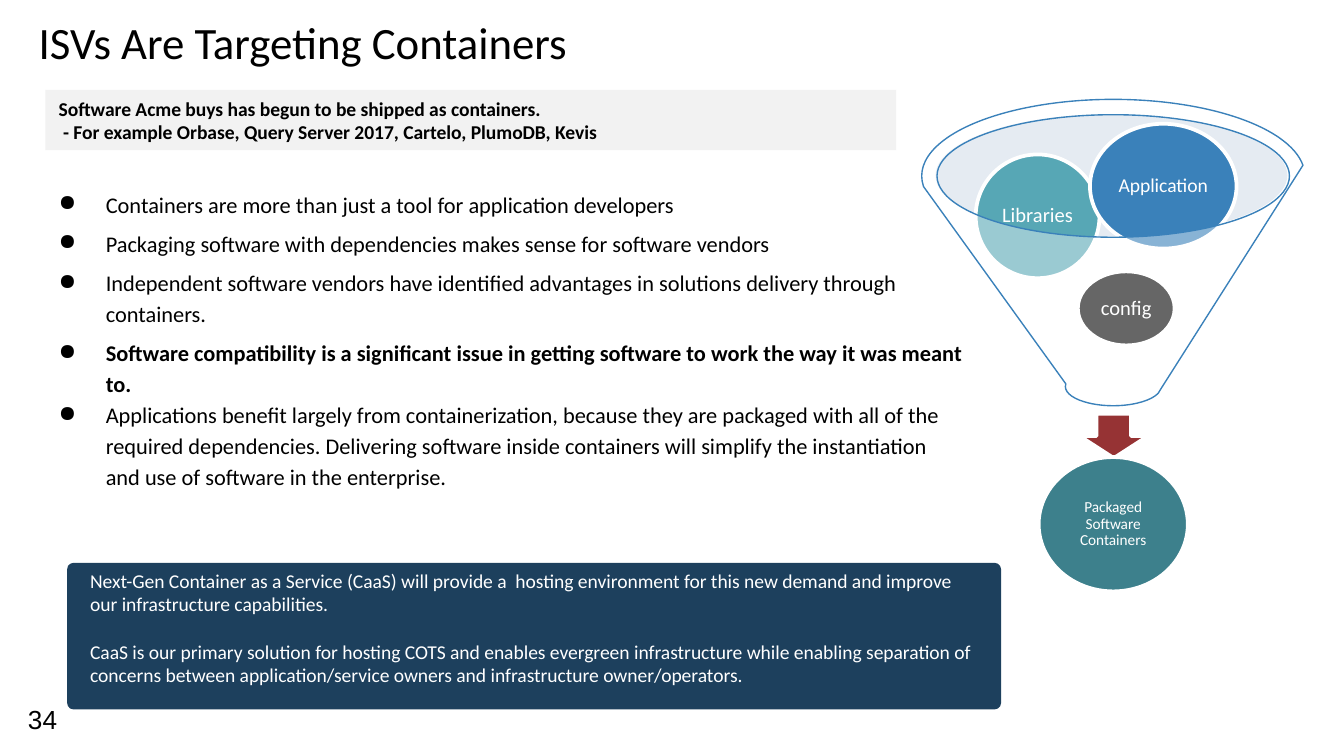
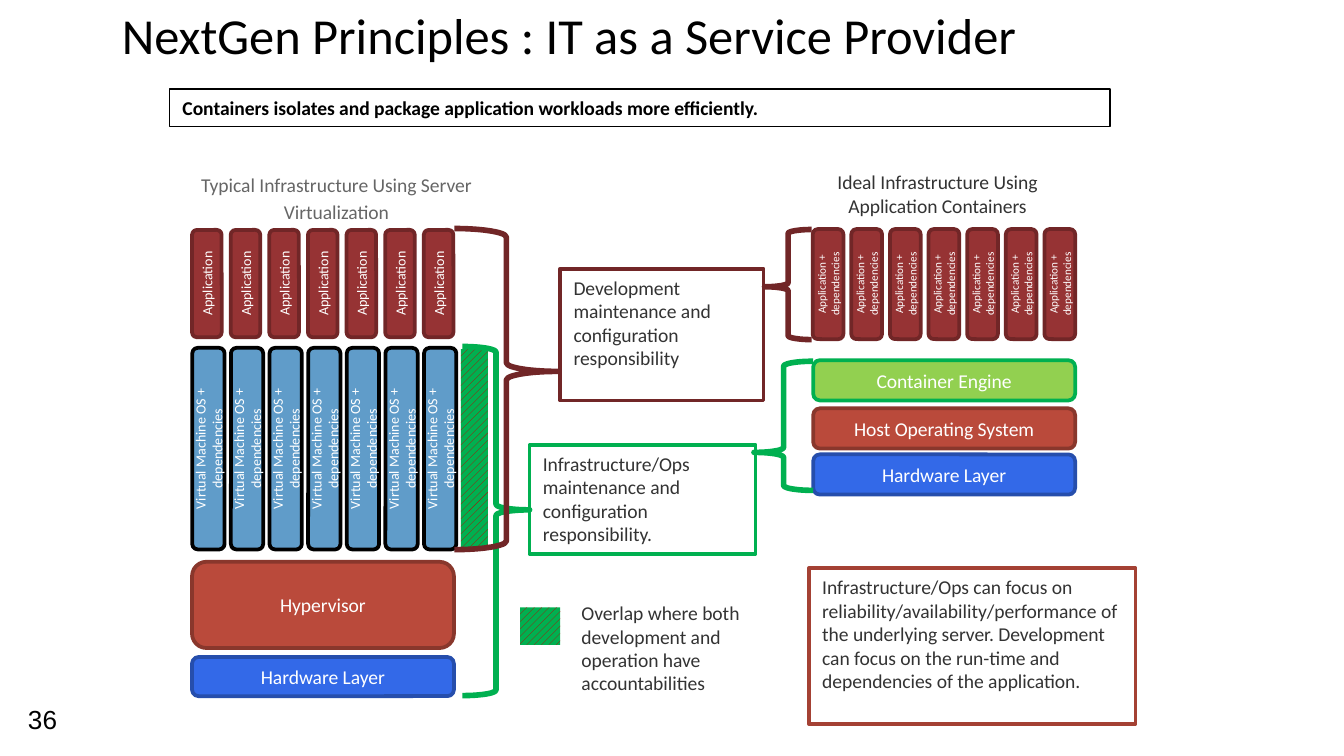
from lxml import etree
from pptx import Presentation
from pptx.dml.color import RGBColor
from pptx.enum.dml import MSO_PATTERN
from pptx.enum.shapes import MSO_SHAPE
from pptx.enum.text import MSO_ANCHOR, MSO_AUTO_SIZE, PP_ALIGN
from pptx.oxml.ns import qn
from pptx.util import Cm, Pt

RECT = MSO_SHAPE.RECTANGLE
ROUNDED = MSO_SHAPE.ROUNDED_RECTANGLE
OVAL = MSO_SHAPE.OVAL
LEFT, CENTER = PP_ALIGN.LEFT, PP_ALIGN.CENTER
TOP, MIDDLE, BOTTOM = MSO_ANCHOR.TOP, MSO_ANCHOR.MIDDLE, MSO_ANCHOR.BOTTOM

BLACK, WHITE, DARK_GREY, MID_GREY = "000000", "FFFFFF", "333333", "666666"
MAROON, DARK_MAROON = "963334", "712627"
BRICK, DARK_BRICK = "BA4A3B", "89372C"
BLUE, DARK_BLUE = "3369E8", "264EAC"
GREEN, LIME, SKY = "00B050", "92D050", "609CC9"
FUNNEL_BLUE, NAVY = "3A81BA", "1D405D"
DEFAULT_INSETS = (0.25, 0.13)
TITLE_INSETS = (0.25, 0.25)


def add_shape(slide, kind, box, fill=None, line=None, width=2, opacity=None):
    """Add a preset shape, or a text box when kind is None; box is in cm."""
    box = [Cm(length) for length in box]
    if kind is None:
        return slide.shapes.add_textbox(*box)
    shape = slide.shapes.add_shape(kind, *box)
    shape.shadow.inherit = False
    if fill:
        shape.fill.solid()
        shape.fill.fore_color.rgb = RGBColor.from_string(fill)
    else:
        shape.fill.background()
    if opacity:
        color = shape.fill._xPr.find(qn("a:solidFill"))[0]
        etree.SubElement(color, qn("a:alpha")).set("val", str(opacity * 1000))
    if line:
        shape.line.color.rgb = RGBColor.from_string(line)
        shape.line.width = Pt(width)
    else:
        shape.line.fill.background()
    return shape


def write(shape, texts, size=10.5, color=BLACK, align=LEFT, anchor=TOP,
          insets=DEFAULT_INSETS, bold=False, font="Calibri", spacing=None):
    """Fill a shape with one paragraph per text."""
    frame = shape.text_frame
    frame.word_wrap = True
    frame.auto_size = MSO_AUTO_SIZE.NONE
    frame.vertical_anchor = anchor
    frame.margin_left = frame.margin_right = Cm(insets[0])
    frame.margin_top = frame.margin_bottom = Cm(insets[1])
    for index, text in enumerate(texts):
        paragraph = frame.add_paragraph() if index else frame.paragraphs[0]
        paragraph.alignment = align
        paragraph.line_spacing = spacing
        run = paragraph.add_run()
        run.text = text
        run.font.name = font
        run.font.size = Pt(size)
        run.font.bold = bold
        run.font.color.rgb = RGBColor.from_string(color)
    return frame


presentation = Presentation()
presentation.slide_width = Cm(25.4)
presentation.slide_height = Cm(14.29)

# Titles and page numbers
slides = []
for title, box, size, align, number in [
    ("ISVs Are Targeting Containers", (0.48, 0.1, 22.02, 1.45), 24, LEFT, "34"),
    ("NextGen Principles : IT as a Service Provider",
     (0, 0.23, 21.51, 1.24), 27, CENTER, "36"),
]:
    slide = presentation.slides.add_slide(presentation.slide_layouts[5])
    placeholder = slide.shapes.title
    placeholder.left, placeholder.top, placeholder.width, placeholder.height = map(Cm, box)
    write(placeholder, [title], size, align=align, anchor=BOTTOM, insets=TITLE_INSETS)
    page_number = add_shape(slide, None, (0.28, 13.16, 1.17, 1.09))
    write(page_number, [number], 14, font="Arial")
    slides.append(slide)
targeting, principles = slides

# Slide 1: text
bullets = [
    "Containers are more than just a tool for application developers",
    "Packaging software with dependencies makes sense for software vendors",
    "Independent software vendors have identified advantages in solutions "
    "delivery through containers.",
    "Software compatibility is a significant issue in getting software to work "
    "the way it was meant to.",
    "Applications benefit largely from containerization, because they are packaged "
    "with all of the required dependencies. Delivering software inside containers "
    "will simplify the instantiation and use of software in the enterprise.",
]
body = add_shape(targeting, None, (0.48, 3.28, 18.01, 7.29))
frame = write(body, bullets, 12, insets=TITLE_INSETS, spacing=1.15)
for index, paragraph in enumerate(frame.paragraphs):
    paragraph.space_after = Pt(4.5 if index < 3 else 0)
    properties = paragraph._p.get_or_add_pPr()
    properties.set("marL", str(Cm(1.27)))
    properties.set("indent", str(Cm(-0.89)))
    etree.SubElement(properties, qn("a:buChar")).set("char", "●")
frame.paragraphs[3].runs[0].font.bold = True

banner = add_shape(targeting, RECT, (0.86, 1.7, 16.08, 1.14), "F2F2F2")
write(banner, [
    "Software Acme buys has begun to be shipped as containers.",
    " - For example Orbase, Query Server 2017, Cartelo, PlumoDB, Kevis",
], bold=True)

summary = add_shape(targeting, ROUNDED, (1.27, 10.64, 17.65, 2.77), NAVY)
summary.adjustments[0] = 0.043
frame = write(summary, [
    "Next-Gen Container as a Service (CaaS) will provide a  hosting environment "
    "for this new demand and improve our infrastructure capabilities.",
    "CaaS is our primary solution for hosting COTS and enables evergreen "
    "infrastructure while enabling separation of concerns between "
    "application/service owners and infrastructure owner/operators.",
], color=WHITE, insets=(0.4, 0.08))
frame.paragraphs[1].space_before = Pt(12.8)

# Slide 1: funnel, laid over the balls that it tints
add_shape(targeting, OVAL, (17.68, 2.16, 6.65, 2.31), "BFCDE0", opacity=40)
add_shape(targeting, MSO_SHAPE.DOWN_ARROW, (20.4, 7.82, 1.3, 0.84), MAROON, WHITE)
for text, box, fill, size in [
    ("config", (20.37, 5.13, 1.83, 1.4), BLACK, 11),
    ("Libraries", (18.44, 2.92, 2.34, 2.34), "57A7B5", 11),
    ("Application", (20.6, 2.34, 2.77, 2.36), FUNNEL_BLUE, 10.5),
    ("Packaged Software Containers", (19.63, 8.64, 2.82, 2.54), "3D808C", 8.2),
]:
    ball = add_shape(targeting, OVAL, box, fill, WHITE)
    write(ball, [text], size, WHITE, CENTER, MIDDLE, (0.03, 0.03), spacing=0.9)
add_shape(targeting, MSO_SHAPE.FUNNEL, (17.42, 1.88, 7.24, 5.79),
          WHITE, FUNNEL_BLUE, 0.75, opacity=40)

# Slide 2: banner and headings
banner = add_shape(principles, RECT, (3.2, 1.68, 17.78, 0.71), line=BLACK, width=0.75)
write(banner, ["Containers isolates and package application workloads more efficiently."],
      bold=True)
heading = add_shape(principles, None, (3.58, 3.02, 5.56, 0.89))
write(heading, ["Typical Infrastructure Using Server Virtualization"],
      color=MID_GREY, align=CENTER, insets=(0.18, 0.18), spacing=1.15)
heading = add_shape(principles, None, (14.94, 3.12, 5.56, 0.89))
write(heading, ["Ideal Infrastructure Using Application Containers"],
      color=DARK_GREY, align=CENTER, insets=(0.18, 0.1))

# Slide 2: overlap bar and its legend swatch
for box in [(8.71, 6.6, 0.51, 3.76), (9.83, 11.48, 0.76, 0.71)]:
    overlap = add_shape(principles, RECT, box)
    overlap.fill.patterned()
    overlap.fill.pattern = MSO_PATTERN.WIDE_UPWARD_DIAGONAL
    overlap.fill.fore_color.rgb = RGBColor.from_string("C00000")
    overlap.fill.back_color.rgb = RGBColor.from_string(GREEN)

# Slide 2: rows of seven upright blocks, placed by their centres
for text, center_x, center_y, length, thickness, fill, line, size in [
    ("Application", 3.91, 5.36, 2.03, 0.56, MAROON, DARK_MAROON, 7.5),
    ("Virtual Machine OS + dependencies", 3.94, 8.48, 3.81, 0.61, SKY, BLACK, 7.5),
    ("Application + dependencies", 15.65, 5.37, 2.08, 0.58, MAROON, DARK_MAROON, 6),
]:
    for column in range(7):
        left = center_x + 0.73 * column - length / 2
        block = add_shape(principles, ROUNDED,
                          (left, center_y - thickness / 2, length, thickness), fill, line)
        block.rotation = 270
        write(block, [text], size, WHITE, CENTER, MIDDLE)

# Slide 2: horizontal layers
for text, left, top, height, fill, line in [
    ("Hypervisor", 3.63, 10.62, 1.63, BRICK, DARK_BRICK),
    ("Hardware Layer", 3.63, 12.42, 0.74, BLUE, DARK_BLUE),
    ("Container Engine", 15.37, 6.81, 0.76, LIME, GREEN),
    ("Host Operating System", 15.37, 7.72, 0.76, BRICK, DARK_BRICK),
    ("Hardware Layer", 15.37, 8.59, 0.76, BLUE, DARK_BLUE),
]:
    layer = add_shape(principles, ROUNDED, (left, top, 4.95, height), fill, line)
    write(layer, [text], color=WHITE, align=CENTER, anchor=MIDDLE)

# Slide 2: braces and responsibilities
for kind, box, tip, line in [
    (MSO_SHAPE.RIGHT_BRACE, (8.74, 6.55, 1.27, 6.6), 0.468, GREEN),
    (MSO_SHAPE.RIGHT_BRACE, (8.59, 4.32, 1.96, 6.07), 0.445, DARK_MAROON),
    (MSO_SHAPE.LEFT_BRACE, (14.45, 4.34, 0.89, 2.08), 0.52, DARK_MAROON),
    (MSO_SHAPE.LEFT_BRACE, (14.25, 6.83, 1.12, 2.44), 0.706, GREEN),
]:
    brace = add_shape(principles, kind, box, line=line, width=3)
    brace.adjustments[0] = 0.083
    brace.adjustments[1] = tip

for text, kind, box, fill, line in [
    ("Development maintenance and configuration responsibility",
     RECT, (10.59, 5.08, 3.84, 2.49), None, DARK_MAROON),
    ("Infrastructure/Ops maintenance and configuration responsibility.",
     RECT, (10.01, 8.41, 4.27, 2.06), None, GREEN),
    ("Overlap where both development and operation have accountabilities",
     None, (10.74, 11.23, 4.34, 2.06), None, None),
    ("Infrastructure/Ops can focus on reliability/availability/performance of the "
     "underlying server. Development can focus on the run-time and dependencies "
     "of the application.",
     RECT, (15.29, 10.74, 6.17, 2.95), WHITE, "A44134"),
]:
    note = add_shape(principles, kind, box, fill, line)
    write(note, [text], color=DARK_GREY)

presentation.save("out.pptx")
